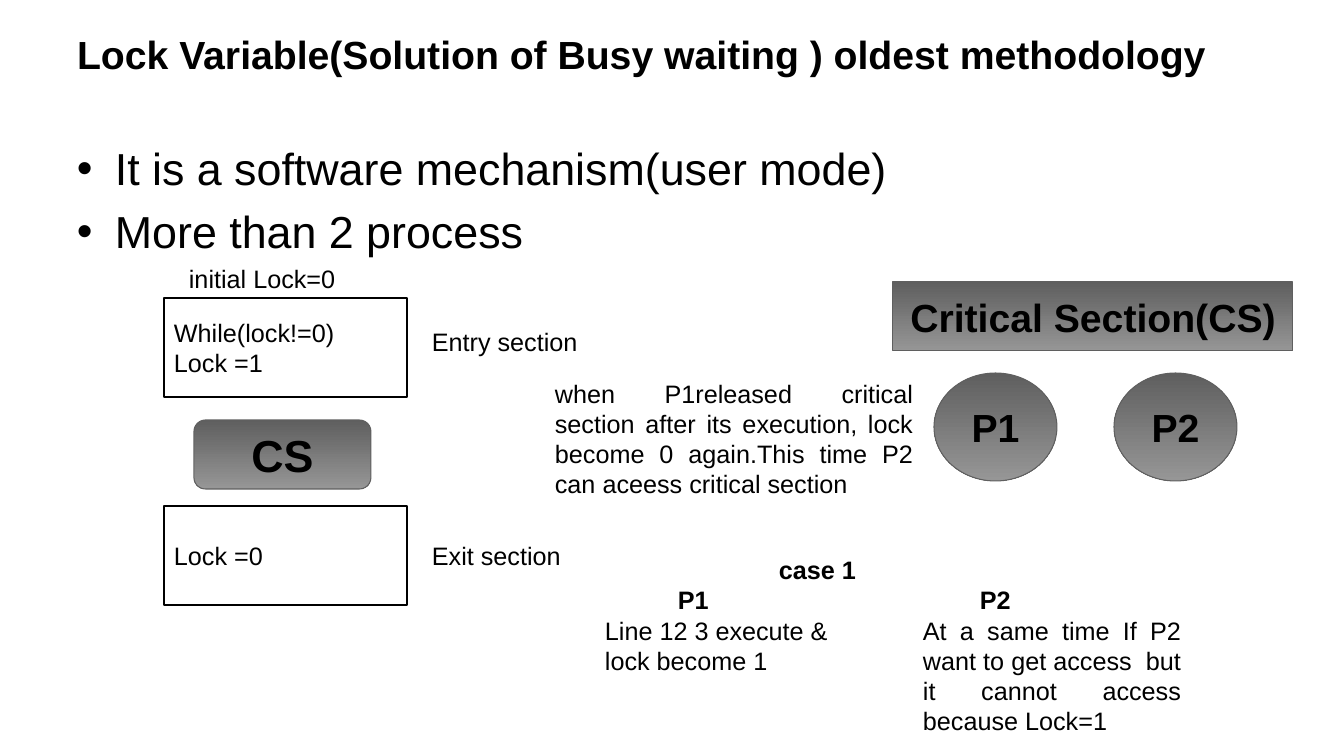
from lxml import etree
from pptx import Presentation
from pptx.dml.color import RGBColor
from pptx.enum.shapes import MSO_SHAPE
from pptx.enum.text import MSO_ANCHOR, PP_ALIGN
from pptx.oxml.ns import qn
from pptx.util import Pt

PX = 914400 / 100.8  # EMU per px
RECT, ROUND, OVAL = MSO_SHAPE.RECTANGLE, MSO_SHAPE.ROUNDED_RECTANGLE, MSO_SHAPE.OVAL
LEFT, MID, JUST = PP_ALIGN.LEFT, PP_ALIGN.CENTER, PP_ALIGN.JUSTIFY
TOP, CENTER = MSO_ANCHOR.TOP, MSO_ANCHOR.MIDDLE
BLACK, WHITE, DARK, GRAY = "000000", "FFFFFF", "5F5F5F", "969696"


def emu(px):
    return round(px * PX)


def color(code):
    return RGBColor.from_string(code)


def write(frame, text, size=18, bold=False, align=LEFT, anchor=TOP,
          wrap=True, bullet=False, tabs=()):
    """Fill a text frame, one paragraph per line of text."""
    frame.word_wrap = wrap
    frame.vertical_anchor = anchor
    for i, line in enumerate(text.split("\n")):
        para = frame.add_paragraph() if i else frame.paragraphs[0]
        props = para._p.get_or_add_pPr()
        if bullet:
            props.set("marL", str(emu(38)))
            props.set("indent", str(emu(-38)))
            if i:
                para.space_before = Pt(size * 0.2)
            etree.SubElement(props, qn("a:buFont"), typeface="Arial")
            etree.SubElement(props, qn("a:buChar"), char="•")
        if tabs:
            stops = etree.SubElement(props, qn("a:tabLst"))
            etree.SubElement(stops, qn("a:tab"), pos=str(emu(tabs[i])), algn="l")
        para.alignment = align
        run = para.add_run()
        run.text = line
        run.font.name = "Arial"
        run.font.size = Pt(size)
        run.font.bold = bold
        run.font.color.rgb = color(BLACK)


def label(slide, x, y, w, h, text, **fmt):
    box = slide.shapes.add_textbox(emu(x), emu(y), emu(w), emu(h))
    write(box.text_frame, text, **fmt)


def shape(slide, kind, x, y, w, h, text, **fmt):
    item = slide.shapes.add_shape(kind, emu(x), emu(y), emu(w), emu(h))
    item.shadow.inherit = False
    write(item.text_frame, text, anchor=CENTER, wrap=False, **fmt)
    return item


def code_box(slide, y, text):
    item = shape(slide, RECT, 164, y, 243, 99, text)
    item.fill.solid()
    item.fill.fore_color.rgb = color(WHITE)
    item.line.color.rgb = color(BLACK)
    item.line.width = Pt(1)


def shaded(slide, kind, x, y, w, h, text, size=28):
    item = shape(slide, kind, x, y, w, h, text, size=size, bold=True, align=MID)
    item.fill.gradient()
    item.fill.gradient_angle = 270
    for stop, place, tone in zip(item.fill.gradient_stops, (0, 1), (DARK, GRAY)):
        stop.position = place
        stop.color.rgb = color(tone)
    item.line.color.rgb = color(DARK)
    item.line.width = Pt(0.75)


def main():
    deck = Presentation()
    deck.slide_width, deck.slide_height = emu(1344), emu(756)
    slide = deck.slides.add_slide(deck.slide_layouts[5])

    # Title and bullets
    title = slide.shapes.title
    title.left, title.top, title.width, title.height = map(emu, (67, 21, 1210, 65))
    write(title.text_frame, "Lock Variable(Solution of Busy waiting ) oldest methodology",
          size=28, bold=True, anchor=CENTER)
    label(slide, 67, 136, 1210, 118,
          "It is a software mechanism(user mode)\nMore than 2 process",
          size=32, bullet=True)

    # Lock code around the critical section
    label(slide, 179, 258, 207, 40, "initial Lock=0")
    code_box(slide, 298, "While(lock!=0)\nLock =1")
    shaded(slide, ROUND, 194, 420, 177, 69, "CS", size=32)
    code_box(slide, 506, "Lock =0")
    for y, name in ((321, "Entry section"), (535, "Exit section")):
        label(slide, 422, y, 207, 40, name)

    # Critical section and its processes
    shaded(slide, RECT, 893, 282, 400, 69, "Critical Section(CS)")
    for x, name in ((934, "P1"), (1114, "P2")):
        shaded(slide, OVAL, x, 373, 123, 108, name)
    label(slide, 545, 373, 378, 132,
          "when P1released critical section after its execution, lock become 0 "
          "again.This time P2 can aceess critical section", align=JUST)

    # Case 1
    label(slide, 668, 549, 378, 102, "\tcase 1\nP1\tP2", bold=True, tabs=(101, 302))
    label(slide, 595, 610, 278, 72, "Line 12 3 execute & lock become 1")
    label(slide, 913, 610, 278, 132,
          "At a same time If P2 want to get access  but it cannot access "
          "because Lock=1", align=JUST)

    deck.save("out.pptx")


if __name__ == "__main__":
    main()
